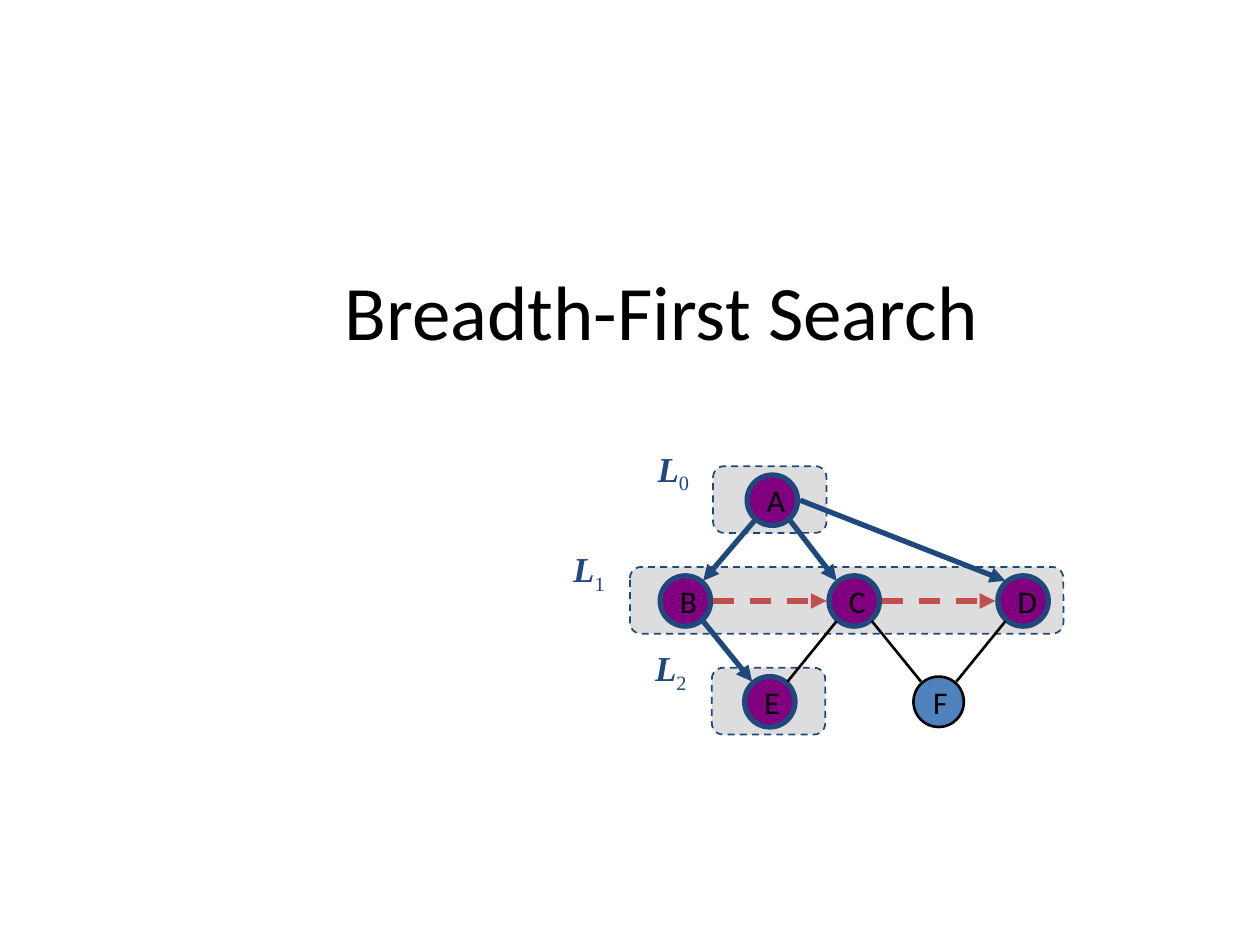
import dataclasses

import pptx
import pptx.dml.color
import pptx.enum.dml
import pptx.enum.shapes
import pptx.enum.text
import pptx.oxml.ns
import pptx.util
from lxml import etree

EMU_PER_PX = 9144


@dataclasses.dataclass(frozen=True)
class Theme:
    """Colours, fonts, type sizes and line widths of the slide."""
    ink: str = "000000"
    navy: str = "1F497D"
    band: str = "DDDDDD"
    visited: str = "800080"
    unvisited: str = "4F81BD"
    cross: str = "C0504D"
    body_font: str = "Calibri"
    level_font: str = "Times New Roman"
    title_size: int = 44
    node_size: int = 18
    level_size: int = 20
    thick: float = 3
    medium: float = 1.5
    thin: float = 1


THEME = Theme()
NODE_RADIUS = 20
BAND_HEIGHT = 53
NODES = {
    "A": (168, 47), "B": (99, 127), "C": (233, 127),
    "D": (367, 127), "E": (166, 207), "F": (300, 207),
}
LEVELS = [
    {"band": (121, 20, 90), "label": (67, 0)},
    {"band": (55, 100, 344), "label": (0, 80)},
    {"band": (120, 180, 90), "label": (65, 158)},
]
PORTS = {"NW": (-14, -16), "NE": (14, -16), "SW": (-14, 16),
         "SE": (14, 16), "W": (-22, 0), "E": (22, 0)}
EDGES = [
    ("A", "SW", "B", "NE", "tree"), ("A", "SE", "C", "NW", "tree"),
    ("A", "E", "D", "NW", "tree"), ("B", "SE", "E", "NW", "tree"),
    ("B", "E", "C", "W", "cross"), ("C", "E", "D", "W", "cross"),
    ("C", "SW", "E", "NE", "open"), ("C", "SE", "F", "NW", "open"),
    ("D", "SW", "F", "NE", "open"),
]
EDGE_STYLES = {
    "tree": (THEME.navy, THEME.thick),
    "cross": (THEME.cross, THEME.thick),
    "open": (THEME.ink, THEME.medium),
}


def px(*lengths):
    """Turn px lengths into EMU."""
    return [pptx.util.Emu(length * EMU_PER_PX) for length in lengths]


def rgb(colour):
    """Turn a hex string into a colour."""
    return pptx.dml.color.RGBColor.from_string(colour)


def style_line(line, colour, width, dashed=False):
    """Set the colour, width and dash of a line."""
    line.color.rgb = rgb(colour)
    line.width = pptx.util.Pt(width)
    if dashed:
        line.dash_style = pptx.enum.dml.MSO_LINE.DASH


def style_run(run, font, size, colour):
    """Set the font, size and colour of a run."""
    run.font.name = font
    run.font.size = pptx.util.Pt(size)
    run.font.color.rgb = rgb(colour)


def add_solid(shapes, preset, box, fill, outline, width, dashed=False):
    """Add a filled, outlined shape without a shadow."""
    solid = shapes.add_shape(preset, *px(*box))
    solid.shadow.inherit = False
    solid.fill.solid()
    solid.fill.fore_color.rgb = rgb(fill)
    style_line(solid.line, outline, width, dashed)
    return solid


def add_title(slide, box):
    """Place the centred title in its box."""
    title = slide.shapes.add_textbox(*px(*box))
    frame = title.text_frame
    frame.word_wrap = True
    frame.vertical_anchor = pptx.enum.text.MSO_ANCHOR.MIDDLE
    frame.text = "Breadth-First Search"
    heading = frame.paragraphs[0]
    heading.alignment = pptx.enum.text.PP_ALIGN.CENTER
    style_run(heading.runs[0], THEME.body_font, THEME.title_size, THEME.ink)


def add_band(shapes, left, top, width):
    """Place the dashed band behind one level."""
    add_solid(shapes, pptx.enum.shapes.MSO_SHAPE.ROUNDED_RECTANGLE,
              (left, top, width, BAND_HEIGHT), THEME.band,
              THEME.navy, THEME.thin, dashed=True)


def add_node(shapes, letter, centre_x, centre_y):
    """Place one lettered graph node around its centre."""
    fill, outline, width = (
        (THEME.unvisited, THEME.ink, THEME.medium) if letter == "F"
        else (THEME.visited, THEME.navy, THEME.thick))
    box = (centre_x - NODE_RADIUS, centre_y - NODE_RADIUS,
           2 * NODE_RADIUS, 2 * NODE_RADIUS)
    node = add_solid(shapes, pptx.enum.shapes.MSO_SHAPE.OVAL,
                     box, fill, outline, width)
    frame = node.text_frame
    frame.word_wrap = False
    frame.vertical_anchor = pptx.enum.text.MSO_ANCHOR.MIDDLE
    frame.text = letter
    frame.paragraphs[0].alignment = pptx.enum.text.PP_ALIGN.LEFT
    style_run(frame.paragraphs[0].runs[0], THEME.body_font,
              THEME.node_size, THEME.ink)


def add_edge(shapes, start, end, kind):
    """Draw one edge, with an arrowhead unless it is unexplored."""
    edge = shapes.add_connector(pptx.enum.shapes.MSO_CONNECTOR.STRAIGHT,
                                *px(*start, *end))
    style_line(edge.line, *EDGE_STYLES[kind], dashed=kind == "cross")
    if kind != "open":
        etree.SubElement(edge.line._get_or_add_ln(),
                         pptx.oxml.ns.qn("a:tailEnd"), type="triangle")
    etree.SubElement(edge._element.spPr, pptx.oxml.ns.qn("a:effectLst"))


def add_level_label(shapes, index, left, top):
    """Place the label of one level with its subscript."""
    label = shapes.add_textbox(*px(left, top, 51, 43))
    frame = label.text_frame
    frame.word_wrap = True
    frame.auto_size = pptx.enum.text.MSO_AUTO_SIZE.SHAPE_TO_FIT_TEXT
    frame.text = "L"
    letter = frame.paragraphs[0].runs[0]
    subscript = frame.paragraphs[0].add_run()
    subscript.text = str(index)
    for run in (letter, subscript):
        style_run(run, THEME.level_font, THEME.level_size, THEME.navy)
    letter.font.bold = letter.font.italic = True
    subscript.font._element.set("baseline", "-25000")


def add_graph(slide, left, top):
    """Place the levels, nodes and edges relative to the graph's corner."""
    shapes = slide.shapes.add_group_shape().shapes
    for level in reversed(LEVELS):
        x, y, width = level["band"]
        add_band(shapes, left + x, top + y, width)
    for letter, (x, y) in NODES.items():
        add_node(shapes, letter, left + x, top + y)

    def port(letter, side):
        """Find where an edge meets a node."""
        (x, y), (dx, dy) = NODES[letter], PORTS[side]
        return left + x + dx, top + y + dy

    for source, exit_side, target, entry_side, kind in EDGES:
        add_edge(shapes, port(source, exit_side),
                 port(target, entry_side), kind)
    for index, level in enumerate(LEVELS):
        x, y = level["label"]
        add_level_label(shapes, index, left + x, top + y)


def main():
    """Build and save the slide."""
    deck = pptx.Presentation()
    deck.slide_width, deck.slide_height = px(1000, 750)
    slide = deck.slides.add_slide(deck.slide_layouts[6])
    add_title(slide, (100, 183, 850, 125))
    add_graph(slide, 445, 350)
    deck.save("out.pptx")


if __name__ == "__main__":
    main()
